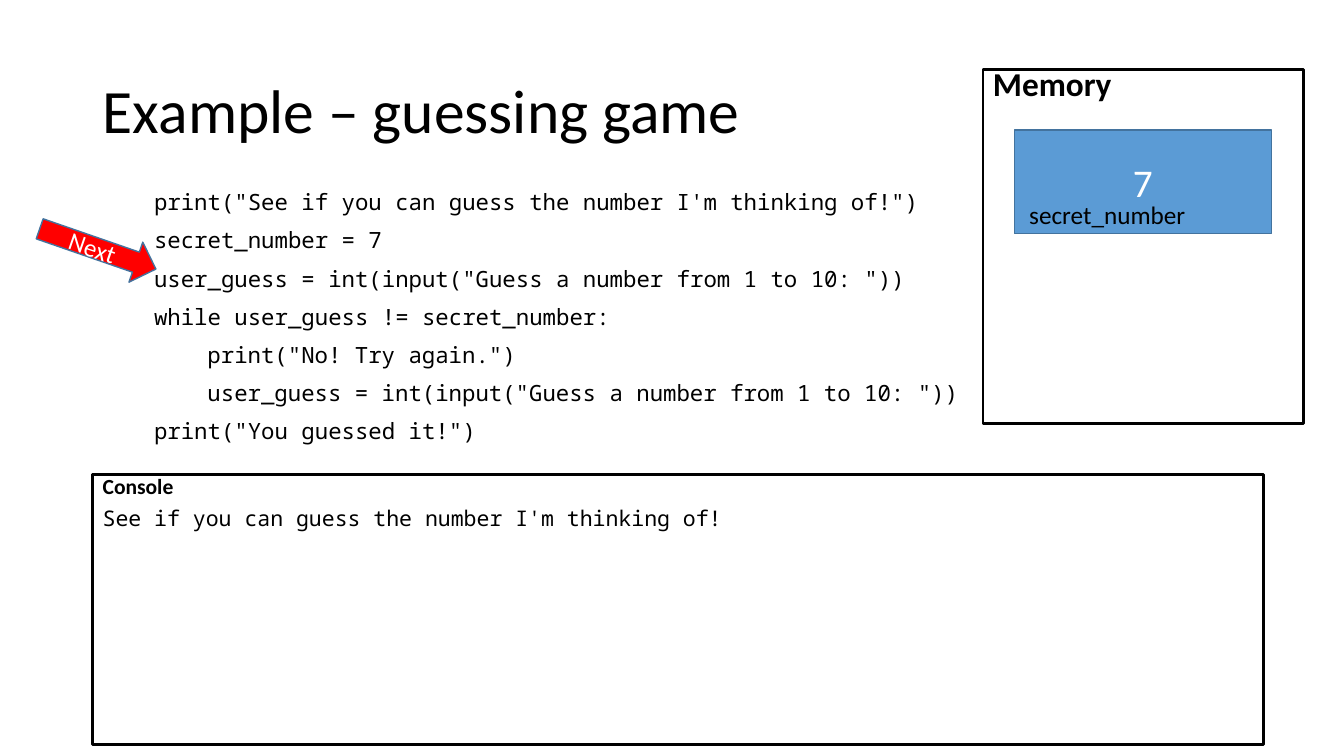
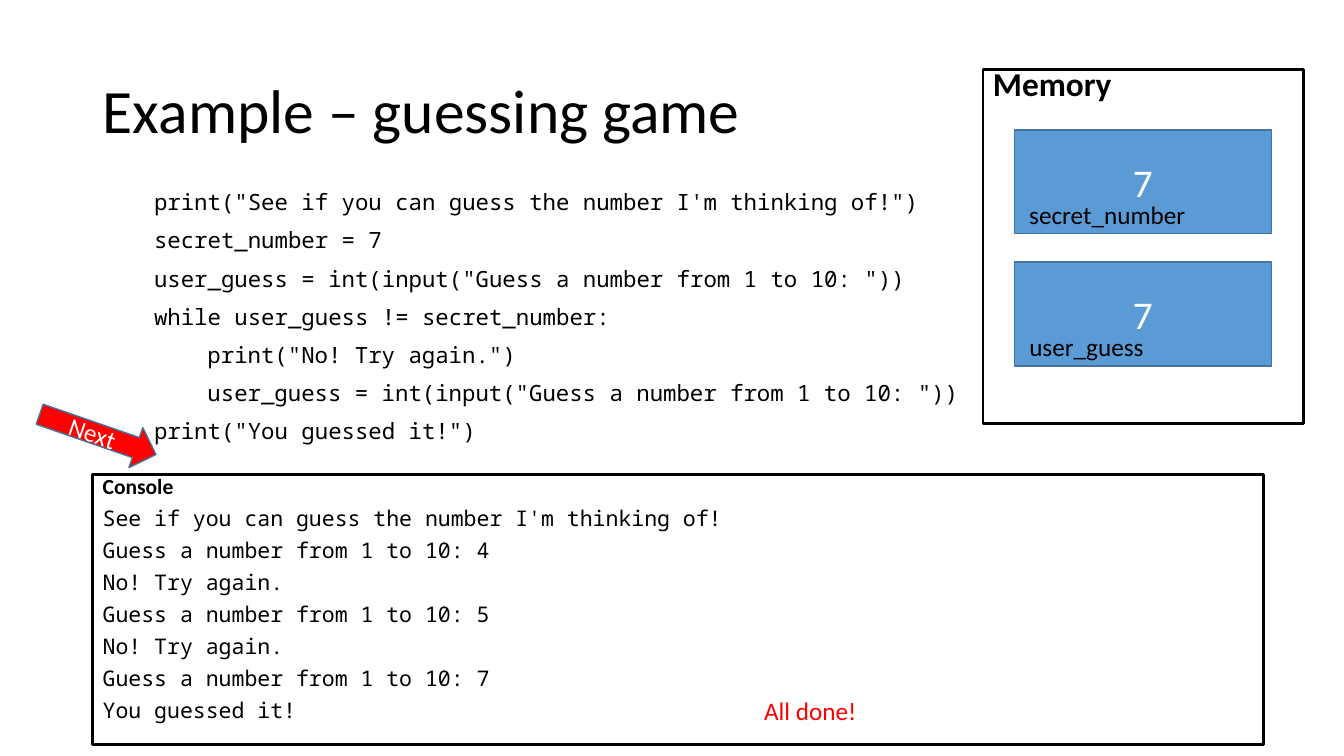
import pptx
import pptx.util
import pptx.dml.color
import pptx.enum.shapes
import pptx.enum.text

Inches = pptx.util.Inches
Pt = pptx.util.Pt
SHAPE = pptx.enum.shapes.MSO_SHAPE
ANCHOR = pptx.enum.text.MSO_ANCHOR
ALIGN = pptx.enum.text.PP_ALIGN
AUTO_SIZE = pptx.enum.text.MSO_AUTO_SIZE

# Shared style
BLACK, WHITE, RED = "000000", "FFFFFF", "FF0000"
BLUE, BLUE_EDGE = "5B9BD5", "43739E"
SANS, MONO = "Calibri", "Noto Sans Mono"
INDENT = Inches(0.53)  # four characters of 16 pt code

# Shared content
CODE = [  # indent level, line
    (0, "print(\"See if you can guess the number I'm thinking of!\")"),
    (0, "secret_number = 7"),
    (0, 'user_guess = int(input("Guess a number from 1 to 10: "))'),
    (0, "while user_guess != secret_number:"),
    (1, 'print("No! Try again.")'),
    (1, 'user_guess = int(input("Guess a number from 1 to 10: "))'),
    (0, 'print("You guessed it!")'),
]
GREETING = "See if you can guess the number I'm thinking of!"

# What differs from step to step
STEPS = [
    {"arrow_top": 2.26, "variables": [("secret_number", "7", 1.77)],
     "console": [GREETING], "remark": None},
    {"arrow_top": 4.1,
     "variables": [("secret_number", "7", 1.77), ("user_guess", "7", 1.35)],
     "console": [GREETING,
                 "Guess a number from 1 to 10: 4", "No! Try again.",
                 "Guess a number from 1 to 10: 5", "No! Try again.",
                 "Guess a number from 1 to 10: 7", "You guessed it!"],
     "remark": "All done!"},
]


def rgb(value):
    return pptx.dml.color.RGBColor.from_string(value)


def write(shape, lines, size, color=BLACK, font=SANS, align=ALIGN.LEFT,
          anchor=ANCHOR.TOP, spacing=None, before=0, wrap=True):
    """Fill a shape with one paragraph per line and return the paragraphs."""
    frame = shape.text_frame
    frame.text = "\n".join(lines)
    frame.word_wrap = wrap
    frame.vertical_anchor = anchor
    for paragraph in frame.paragraphs:
        paragraph.alignment = align
        paragraph.space_before = Pt(before)
        if spacing:
            paragraph.line_spacing = spacing
        paragraph.font.size = Pt(size)
        paragraph.font.name = font
        paragraph.font.color.rgb = rgb(color)
    return frame.paragraphs


def add_box(shapes, kind, left, top, width, height, fill, edge, weight):
    box = shapes.add_shape(kind, Inches(left), Inches(top), Inches(width), Inches(height))
    box.shadow.inherit = False
    if fill:
        box.fill.solid()
        box.fill.fore_color.rgb = rgb(fill)
    else:
        box.fill.background()
    box.line.color.rgb = rgb(edge)
    box.line.width = Pt(weight)
    return box


deck = pptx.Presentation()
deck.slide_width, deck.slide_height = Inches(13.33), Inches(7.5)

for step in STEPS:
    slide = deck.slides.add_slide(deck.slide_layouts[5])
    shapes = slide.shapes

    # Title
    title = shapes.title
    title.left, title.top = Inches(0.92), Inches(0.4)
    title.width, title.height = Inches(11.5), Inches(1.45)
    write(title, ["Example – guessing game"], 44, anchor=ANCHOR.MIDDLE, spacing=0.9)
    title.text_frame.auto_size = AUTO_SIZE.NONE

    # Program
    program = shapes.add_textbox(Inches(1.43), Inches(1.85), Inches(11.5), Inches(4.76))
    code_lines = write(program, [line for _, line in CODE], 16, font=MONO,
                       spacing=0.9, before=10)
    for paragraph, (level, _) in zip(code_lines, CODE):
        paragraph._p.get_or_add_pPr().set("marL", str(level * INDENT))

    # Console
    console = add_box(shapes, SHAPE.RECTANGLE, 0.92, 4.71, 11.61, 2.68, None, BLACK, 2)
    heading = write(console, ["Console"] + step["console"], 15.4, font=MONO,
                    spacing=0.7, before=10)[0]
    heading.font.name = SANS
    heading.font.bold = True

    # Pointer to the next line
    arrow = add_box(shapes, SHAPE.RIGHT_ARROW, 0.36, step["arrow_top"], 1.22, 0.42,
                    RED, BLUE_EDGE, 1)
    arrow.rotation = 19.1
    write(arrow, ["Next"], 18, WHITE, align=ALIGN.CENTER, anchor=ANCHOR.MIDDLE)

    # Closing remark
    if step["remark"]:
        remark = shapes.add_textbox(Inches(7.48), Inches(6.85), Inches(3.5), Inches(0.4))
        write(remark, [step["remark"]], 18, RED)

    # Memory, one group per variable
    memory = add_box(shapes, SHAPE.RECTANGLE, 9.75, 0.69, 3.18, 3.51, None, BLACK, 2)
    write(memory, ["Memory"], 23.8, spacing=0.7, before=10)[0].font.bold = True
    for row, (name, value, name_width) in enumerate(step["variables"]):
        top = 1.29 + 1.31 * row
        variable = shapes.add_group_shape().shapes
        cell = add_box(variable, SHAPE.RECTANGLE, 10.06, top, 2.55, 1.03,
                       BLUE, BLUE_EDGE, 1)
        write(cell, [value], 28, WHITE, align=ALIGN.CENTER, anchor=ANCHOR.MIDDLE)
        label = variable.add_textbox(Inches(10.11), Inches(top + 0.64),
                                     Inches(name_width), Inches(0.4))
        write(label, [name], 18, wrap=False)
        label.text_frame.auto_size = AUTO_SIZE.SHAPE_TO_FIT_TEXT

deck.save("out.pptx")
